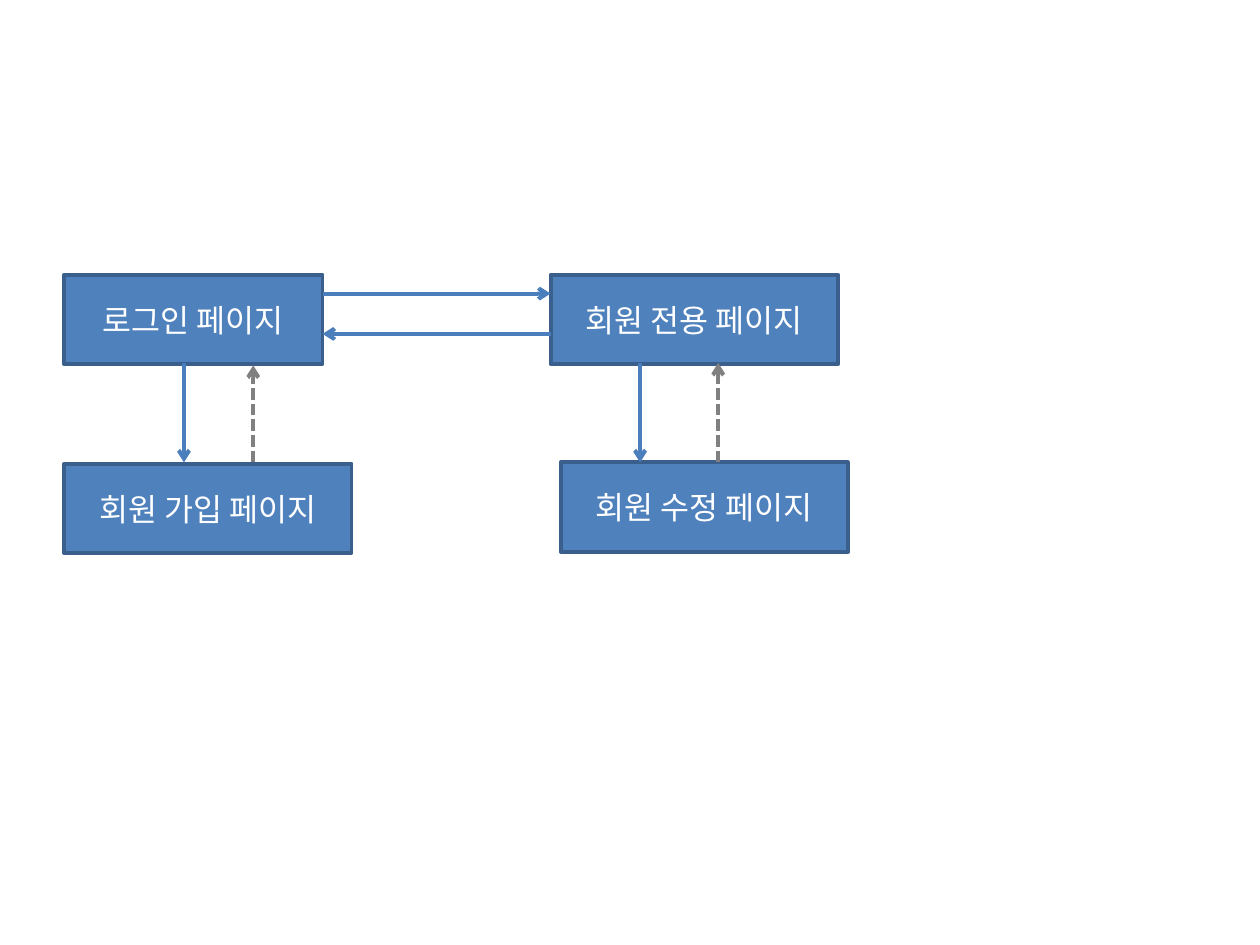
from lxml import etree
from pptx import Presentation
from pptx import util as u
from pptx.dml.color import RGBColor
from pptx.enum import dml, shapes, text
from pptx.oxml.ns import qn

FONT = "Noto Sans CJK KR"
BOX_FILL = RGBColor(0x4F, 0x81, 0xBD)
BOX_LINE = RGBColor(0x3A, 0x5F, 0x8C)
FORWARD = RGBColor(0x4B, 0x7E, 0xBC)
RETURN = RGBColor(0x80, 0x80, 0x80)
WHITE = RGBColor(0xFF, 0xFF, 0xFF)
LINE_WIDTH = u.Pt(2.25)
BOX_HEIGHT = 0.71

# Pages: label, left, top, width
PAGES = [
    ("로그인 페이지", 0.51, 2.18, 2.05),
    ("회원 전용 페이지", 4.37, 2.18, 2.28),
    ("회원 가입 페이지", 0.51, 3.68, 2.28),
    ("회원 수정 페이지", 4.45, 3.67, 2.28),
]

# Moves between pages: start, end, is a dashed return
MOVES = [
    ((2.56, 2.33), (4.37, 2.33), False),
    ((4.37, 2.65), (2.56, 2.65), False),
    ((1.46, 2.88), (1.46, 3.67), False),
    ((2.01, 3.67), (2.01, 2.90), True),
    ((5.70, 3.67), (5.70, 2.88), True),
    ((5.08, 2.88), (5.08, 3.67), False),
]


def add_page(slide, label, left, top, width):
    shape = slide.shapes.add_shape(
        shapes.MSO_SHAPE.RECTANGLE,
        *map(u.Inches, (left, top, width, BOX_HEIGHT)))
    shape.shadow.inherit = False
    shape.fill.solid()
    shape.fill.fore_color.rgb = BOX_FILL
    shape.line.color.rgb = BOX_LINE
    shape.line.width = LINE_WIDTH
    shape.text_frame.word_wrap = True
    shape.text_frame.vertical_anchor = text.MSO_ANCHOR.MIDDLE
    paragraph = shape.text_frame.paragraphs[0]
    paragraph.alignment = text.PP_ALIGN.CENTER
    run = paragraph.add_run()
    run.text = label
    run.font.name = FONT
    run.font.size = u.Pt(18)
    run.font.color.rgb = WHITE
    # Korean glyphs use the East Asian font slot
    etree.SubElement(run.font._element, qn("a:ea"), typeface=FONT)


def add_move(slide, start, end, is_return):
    connector = slide.shapes.add_connector(
        shapes.MSO_CONNECTOR.STRAIGHT, *map(u.Inches, start + end))
    line = connector.line
    line.color.rgb = RETURN if is_return else FORWARD
    line.width = LINE_WIDTH
    if is_return:
        line.dash_style = dml.MSO_LINE.SQUARE_DOT
    # Arrowhead at the end, no shadow
    properties = connector._element.spPr
    etree.SubElement(properties.find(qn("a:ln")), qn("a:tailEnd"), type="arrow")
    etree.SubElement(properties, qn("a:effectLst"))


def main():
    presentation = Presentation()
    presentation.slide_width = u.Inches(10)
    presentation.slide_height = u.Inches(7.5)
    slide = presentation.slides.add_slide(presentation.slide_layouts[6])
    for page in PAGES:
        add_page(slide, *page)
    for move in MOVES:
        add_move(slide, *move)
    presentation.save("out.pptx")


if __name__ == "__main__":
    main()
